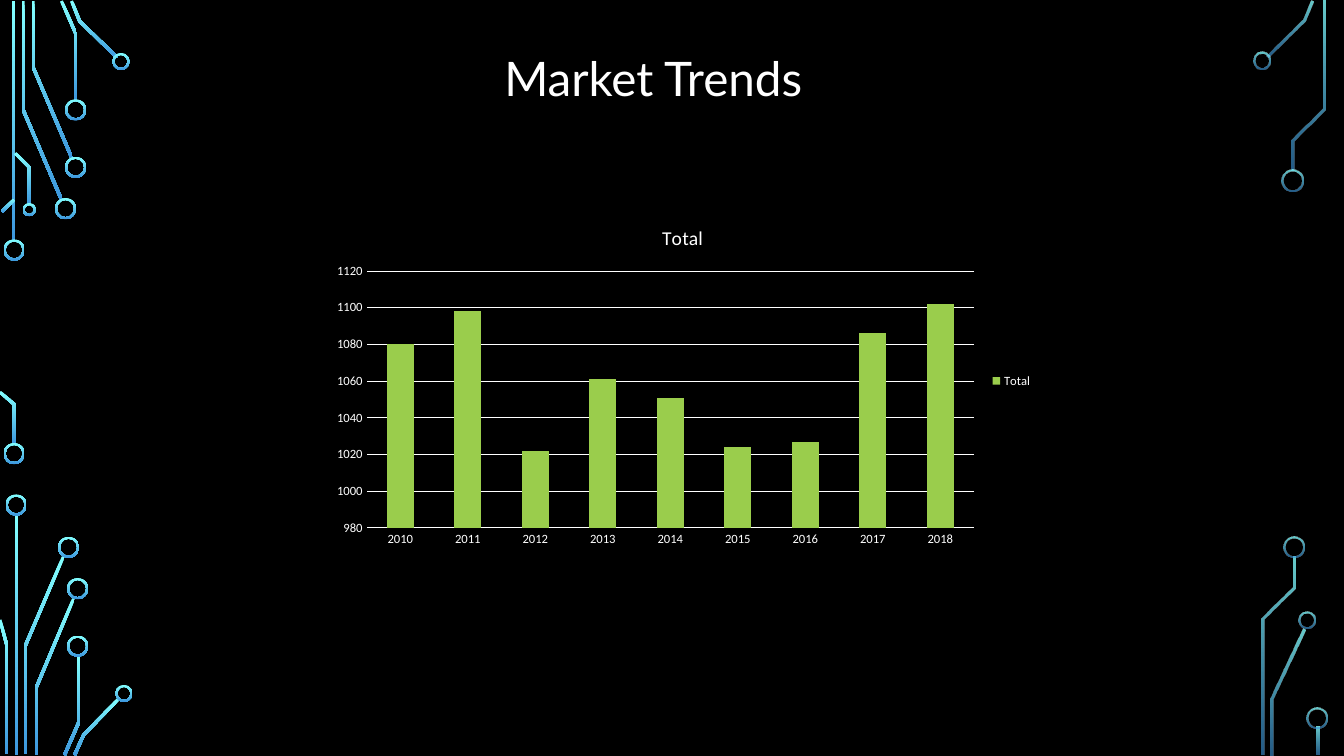
import math
from lxml import etree
from pptx import Presentation
from pptx.chart.data import CategoryChartData
from pptx.dml.color import RGBColor
from pptx.enum.chart import XL_CHART_TYPE, XL_LEGEND_POSITION, XL_TICK_MARK
from pptx.enum.shapes import MSO_SHAPE
from pptx.enum.text import MSO_ANCHOR, PP_ALIGN
from pptx.oxml.ns import qn
from pptx.util import Inches, Pt

COLUMNS = XL_CHART_TYPE.COLUMN_CLUSTERED
LEGEND_RIGHT = XL_LEGEND_POSITION.RIGHT
NO_TICK = XL_TICK_MARK.NONE
DONUT, RECT = MSO_SHAPE.DONUT, MSO_SHAPE.RECTANGLE
MIDDLE, CENTER = MSO_ANCHOR.MIDDLE, PP_ALIGN.CENTER

WIDTH, HEIGHT = 13.33, 7.5
WHITE, BLACK, GREEN = "FFFFFF", "000000", "9ACD4C"
GLOW = ("82FFFF", "3D97DE")
SOLID, FADED = (100, 100), (80, 60)
TRACE, RING, SMALL, TINY = 0.03, 0.21, 0.17, 0.13

# Each circuit: origin, opacities, traces (centre lines), rings (centre, diameter),
# leads (left, top, height); places are inches from the origin.
CIRCUITS = [
    dict(origin=(0, 0), alphas=SOLID,
         traces=[[(0.61, 1.98), (0.23, 1.09), (0.23, 0.01)],
                 [(0.71, 1.56), (0.33, 0.67), (0.33, 0.01)],
                 [(0.75, 1), (0.75, 0.33), (0.61, 0.01)],
                 [(1.16, 0.57), (0.79, 0.21), (0.71, 0.01)],
                 [(0.02, 2.1), (0.14, 1.98)],
                 [(0.29, 2.03), (0.29, 1.66), (0.15, 1.52)]],
         rings=[(0.14, 2.48, RING), (0.65, 2.07, RING), (0.75, 1.66, RING),
                (0.75, 1.09, RING), (1.2, 0.61, SMALL), (0.29, 2.08, TINY)],
         leads=[(0.12, 0.01, 2.39)]),
    dict(origin=(0, 3.88), alphas=SOLID,
         traces=[[(0, 0.01), (0.14, 0.13), (0.14, 0.53)]],
         rings=[(0.14, 0.62, RING)], leads=[]),
    dict(origin=(0, 4.9), alphas=SOLID,
         traces=[[(0.25, 2.58), (0.25, 1.51), (0.63, 0.62)],
                 [(0.07, 2.58), (0.07, 1.51), (0, 1.25)],
                 [(0.36, 2.59), (0.36, 1.92), (0.73, 1.04)],
                 [(0.64, 2.59), (0.78, 2.27), (0.78, 1.6)],
                 [(0.74, 2.59), (0.83, 2.39), (1.18, 2.03)]],
         rings=[(0.16, 0.11, RING), (0.68, 0.53, RING), (0.77, 0.94, RING),
                (0.77, 1.51, RING), (1.23, 1.98, SMALL)],
         leads=[(0.15, 0.2, 2.39)]),
    dict(origin=(12.43, 0), alphas=FADED,
         traces=[[(0.14, 0.56), (0.5, 0.2), (0.58, 0.01)],
                 [(0.39, 1.69), (0.39, 1.39), (0.7, 1.08), (0.7, 0.01)]],
         rings=[(0.09, 0.6, SMALL), (0.39, 1.79, RING)], leads=[]),
    dict(origin=(12.51, 5.32), alphas=FADED,
         traces=[[(0.11, 2.17), (0.11, 1.61), (0.42, 0.92)],
                 [(0.02, 2.17), (0.02, 0.82), (0.32, 0.51), (0.32, 0.2)]],
         rings=[(0.45, 0.83, SMALL), (0.32, 0.11, RING), (0.55, 1.8, RING)],
         leads=[(0.55, 1.89, 0.28)]),
]

MARKET = {"2010": 1080, "2011": 1098, "2012": 1022, "2013": 1061, "2014": 1051,
          "2015": 1024, "2016": 1027, "2017": 1086, "2018": 1102}


def rgb(value):
    return RGBColor.from_string(value)


def style_font(font, color=WHITE, **values):
    for name, value in values.items():
        setattr(font, name, value)
    font.color.rgb = rgb(color)


def glow(sp, alphas):
    """Fill a shape with the downward cyan-to-blue gradient."""
    sp.shadow.inherit = False
    sp.line.fill.background()
    sp.fill.gradient()
    sp.fill.gradient_angle = 270
    for stop, color, position in zip(sp.fill.gradient_stops, GLOW, (0, 1)):
        stop.color.rgb = rgb(color)
        stop.position = position
    for clr, alpha in zip(sp._element.spPr.iter(qn("a:srgbClr")), alphas):
        if alpha < 100:
            etree.SubElement(clr, qn("a:alpha"), val=str(alpha * 1000))


def outline(points, width):
    """Return the polygon of a mitred stroke along the centre line."""
    normals = []
    for (x1, y1), (x2, y2) in zip(points, points[1:]):
        length = math.hypot(x2 - x1, y2 - y1)
        normals.append(((y1 - y2) / length, (x2 - x1) / length))
    left, right = [], []
    befores, afters = normals[:1] + normals, normals + normals[-1:]
    for (x, y), (ax, ay), (bx, by) in zip(points, befores, afters):
        scale = width / 2 / (1 + ax * bx + ay * by)
        dx, dy = (ax + bx) * scale, (ay + by) * scale
        left.append((x + dx, y + dy))
        right.append((x - dx, y - dy))
    return left + right[::-1]


def add_circuit(slide, origin, alphas, traces, rings, leads):
    x0, y0 = origin
    shapes = slide.shapes
    for x, y, height in leads:
        glow(shapes.add_shape(RECT, Inches(x0 + x), Inches(y0 + y),
                              Inches(TRACE), Inches(height)), alphas)
    for trace in traces:
        points = [(Inches(x0 + x), Inches(y0 + y)) for x, y in outline(trace, TRACE)]
        builder = shapes.build_freeform(*points[0])
        builder.add_line_segments(points[1:], close=True)
        glow(builder.convert_to_shape(), alphas)
    for x, y, size in rings:
        sp = shapes.add_shape(DONUT, Inches(x0 + x - size / 2),
                              Inches(y0 + y - size / 2), Inches(size), Inches(size))
        sp.adjustments[0] = 0.02 / size
        glow(sp, alphas)


def add_title(slide, box):
    tf = slide.shapes.add_textbox(*map(Inches, box)).text_frame
    tf.word_wrap = True
    tf.vertical_anchor = MIDDLE
    for side in ("left", "top", "right", "bottom"):
        setattr(tf, f"margin_{side}", Inches(0.1))
    p = tf.paragraphs[0]
    p.alignment = CENTER
    r = p.add_run()
    r.text = "Market Trends"
    style_font(r.font, name="Lato", size=Pt(34))


def add_market_chart(slide, box):
    data = CategoryChartData()
    data.categories = list(MARKET)
    data.add_series("Total", list(MARKET.values()))
    chart = slide.shapes.add_chart(COLUMNS, *map(Inches, box), data).chart
    style_font(chart.font, name="Calibri", size=Pt(10))

    chart.has_title = True
    tf = chart.chart_title.text_frame
    tf.text = "Total"
    style_font(tf.paragraphs[0].runs[0].font, name="Calibri", size=Pt(14), bold=False)

    chart.has_legend = True
    chart.legend.position = LEGEND_RIGHT
    chart.legend.include_in_layout = False
    style_font(chart.legend.font, name="Calibri", size=Pt(9))

    for axis in (chart.category_axis, chart.value_axis):
        axis.major_tick_mark = axis.minor_tick_mark = NO_TICK
        axis.format.line.fill.background()
        style_font(axis.tick_labels.font, name="Calibri", size=Pt(9))
    scale = dict(minimum_scale=980, maximum_scale=1120, major_unit=20)
    for name, value in scale.items():
        setattr(chart.value_axis, name, value)
    grid = chart.value_axis.major_gridlines.format.line
    grid.color.rgb = rgb(WHITE)
    grid.width = Pt(0.75)

    plot = chart.plots[0]
    plot.gap_width = 150
    plot.vary_by_categories = False
    fill = plot.series[0].format.fill
    fill.solid()
    fill.fore_color.rgb = rgb(GREEN)


def main():
    prs = Presentation()
    prs.slide_width, prs.slide_height = Inches(WIDTH), Inches(HEIGHT)
    slide = prs.slides.add_slide(prs.slide_layouts[6])
    slide.background.fill.solid()
    slide.background.fill.fore_color.rgb = rgb(BLACK)
    for circuit in CIRCUITS:
        add_circuit(slide, **circuit)
    add_title(slide, (4.06, 0.32, 4.84, 0.9))
    add_market_chart(slide, (3.2, 2.07, 7.14, 3.42))
    prs.save("out.pptx")


if __name__ == "__main__":
    main()
